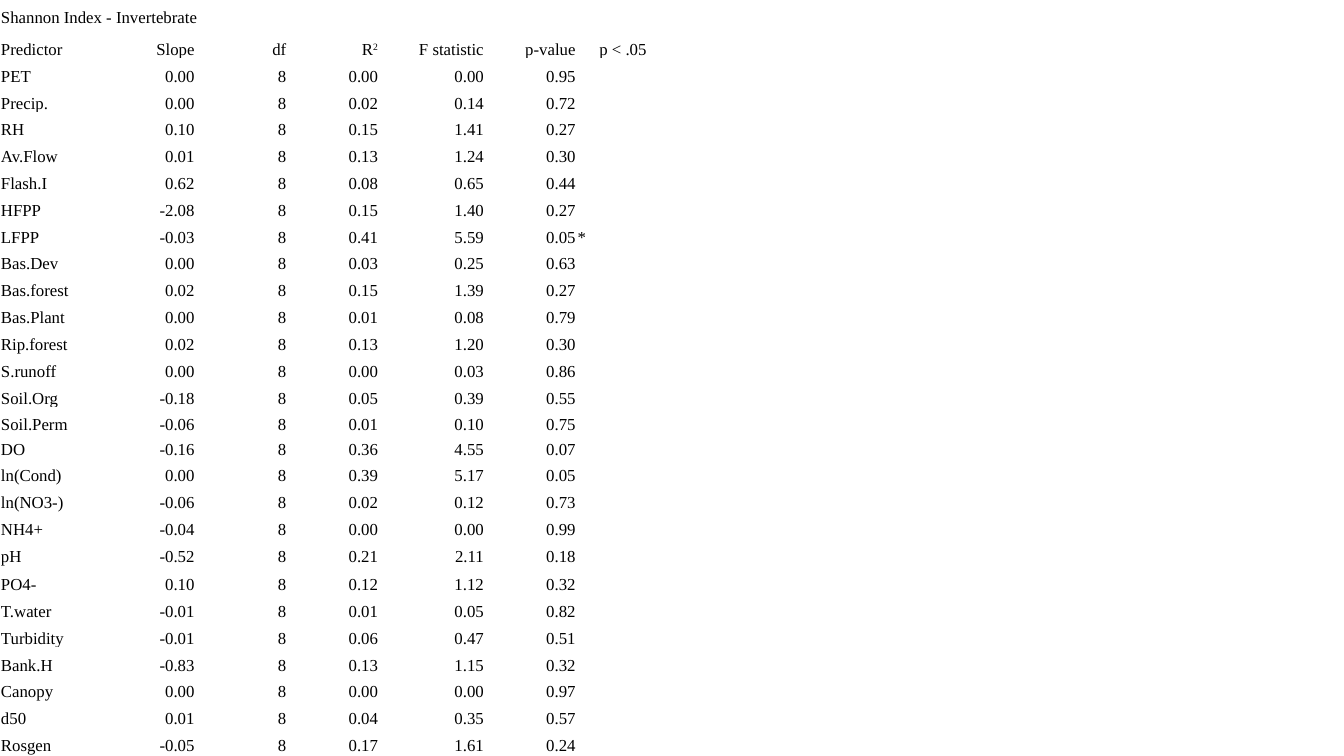
from dataclasses import dataclass

from lxml.etree import SubElement
from pptx import Presentation
from pptx.dml.color import RGBColor
from pptx.enum.text import MSO_ANCHOR, PP_ALIGN
from pptx.oxml.ns import qn
from pptx.util import Inches, Pt


@dataclass(frozen=True)
class Theme:
    font: str = "Times New Roman"
    size: int = 12
    ink: RGBColor = RGBColor(0, 0, 0)
    inset: float = 0.01


THEME = Theme()
TITLE = "Shannon Index - Invertebrate"
TITLE_SPAN = 4
HEADINGS = ("Predictor", "Slope", "df", "R²", "F statistic", "p-value", "p < .05")
DEGREES_OF_FREEDOM = "8"
# Predictor, slope, R², F statistic, p-value, significance mark
RESULTS = [
    ("PET", "0.00", "0.00", "0.00", "0.95", ""),
    ("Precip.", "0.00", "0.02", "0.14", "0.72", ""),
    ("RH", "0.10", "0.15", "1.41", "0.27", ""),
    ("Av.Flow", "0.01", "0.13", "1.24", "0.30", ""),
    ("Flash.I", "0.62", "0.08", "0.65", "0.44", ""),
    ("HFPP", "-2.08", "0.15", "1.40", "0.27", ""),
    ("LFPP", "-0.03", "0.41", "5.59", "0.05", "*"),
    ("Bas.Dev", "0.00", "0.03", "0.25", "0.63", ""),
    ("Bas.forest", "0.02", "0.15", "1.39", "0.27", ""),
    ("Bas.Plant", "0.00", "0.01", "0.08", "0.79", ""),
    ("Rip.forest", "0.02", "0.13", "1.20", "0.30", ""),
    ("S.runoff", "0.00", "0.00", "0.03", "0.86", ""),
    ("Soil.Org", "-0.18", "0.05", "0.39", "0.55", ""),
    ("Soil.Perm", "-0.06", "0.01", "0.10", "0.75", ""),
    ("DO", "-0.16", "0.36", "4.55", "0.07", ""),
    ("ln(Cond)", "0.00", "0.39", "5.17", "0.05", ""),
    ("ln(NO3-)", "-0.06", "0.02", "0.12", "0.73", ""),
    ("NH4+", "-0.04", "0.00", "0.00", "0.99", ""),
    ("pH", "-0.52", "0.21", "2.11", "0.18", ""),
    ("PO4-", "0.10", "0.12", "1.12", "0.32", ""),
    ("T.water", "-0.01", "0.01", "0.05", "0.82", ""),
    ("Turbidity", "-0.01", "0.06", "0.47", "0.51", ""),
    ("Bank.H", "-0.83", "0.13", "1.15", "0.32", ""),
    ("Canopy", "0.00", "0.00", "0.00", "0.97", ""),
    ("d50", "0.01", "0.04", "0.35", "0.57", ""),
    ("Rosgen", "-0.05", "0.17", "1.61", "0.24", ""),
]
COLUMN_WIDTHS = (1.02, 0.92, 0.91, 0.91, 1.05, 0.91, 0.92)
SPECIAL_ROW_HEIGHTS = {1: 0.32, 16: 0.24, 21: 0.28}
LEFT, RIGHT, CENTER = PP_ALIGN.LEFT, PP_ALIGN.RIGHT, PP_ALIGN.CENTER
ALIGNMENTS = (LEFT, RIGHT, RIGHT, RIGHT, RIGHT, RIGHT, LEFT)


def table_rows():
    yield (TITLE,) + ("",) * (len(HEADINGS) - 1)
    yield HEADINGS
    for predictor, slope, *statistics in RESULTS:
        yield (predictor, slope, DEGREES_OF_FREEDOM, *statistics)


def write_cell(cell, text, alignment):
    cell.fill.background()
    cell.vertical_anchor = MSO_ANCHOR.BOTTOM
    cell.margin_left = cell.margin_right = cell.margin_top = Inches(THEME.inset)
    cell.margin_bottom = 0
    para = cell.text_frame.paragraphs[0]
    para.alignment = alignment
    para.font.name = THEME.font
    para.font.size = Pt(THEME.size)
    para.font.color.rgb = THEME.ink
    if not text:
        # The end mark sets the height of an empty line
        SubElement(para._p, qn("a:endParaRPr"), sz=str(THEME.size * 100))
        return
    base, squared, _ = text.partition("²")
    para.add_run().text = base
    if squared:
        span = para.add_run()
        span.text = "2"
        span._r.get_or_add_rPr().set("baseline", "30000")


def add_regression_table(page, left, top, width, height):
    rows = list(table_rows())
    frame = page.shapes.add_table(len(rows), len(HEADINGS), Inches(left),
                                  Inches(top), Inches(width), Inches(height))
    table = frame.table
    table.first_row = table.horz_banding = False
    for column, share in zip(table.columns, COLUMN_WIDTHS):
        column.width = Inches(width * share / sum(COLUMN_WIDTHS))
    regular_height = ((height - sum(SPECIAL_ROW_HEIGHTS.values()))
                      / (len(rows) - len(SPECIAL_ROW_HEIGHTS)))
    for row_index, texts in enumerate(rows):
        table.rows[row_index].height = Inches(
            SPECIAL_ROW_HEIGHTS.get(row_index, regular_height))
        for column_index, text in enumerate(texts):
            alignment = CENTER if text == HEADINGS[-1] else ALIGNMENTS[column_index]
            write_cell(table.cell(row_index, column_index), text, alignment)
    table.cell(0, 0).merge(table.cell(0, TITLE_SPAN - 1))


def main():
    deck = Presentation()
    deck.slide_width, deck.slide_height = Inches(13.33), Inches(7.5)
    page = deck.slides.add_slide(deck.slide_layouts[6])
    add_regression_table(page, 0, 0, 6.64, 7.5)
    deck.save("out.pptx")


if __name__ == "__main__":
    main()
